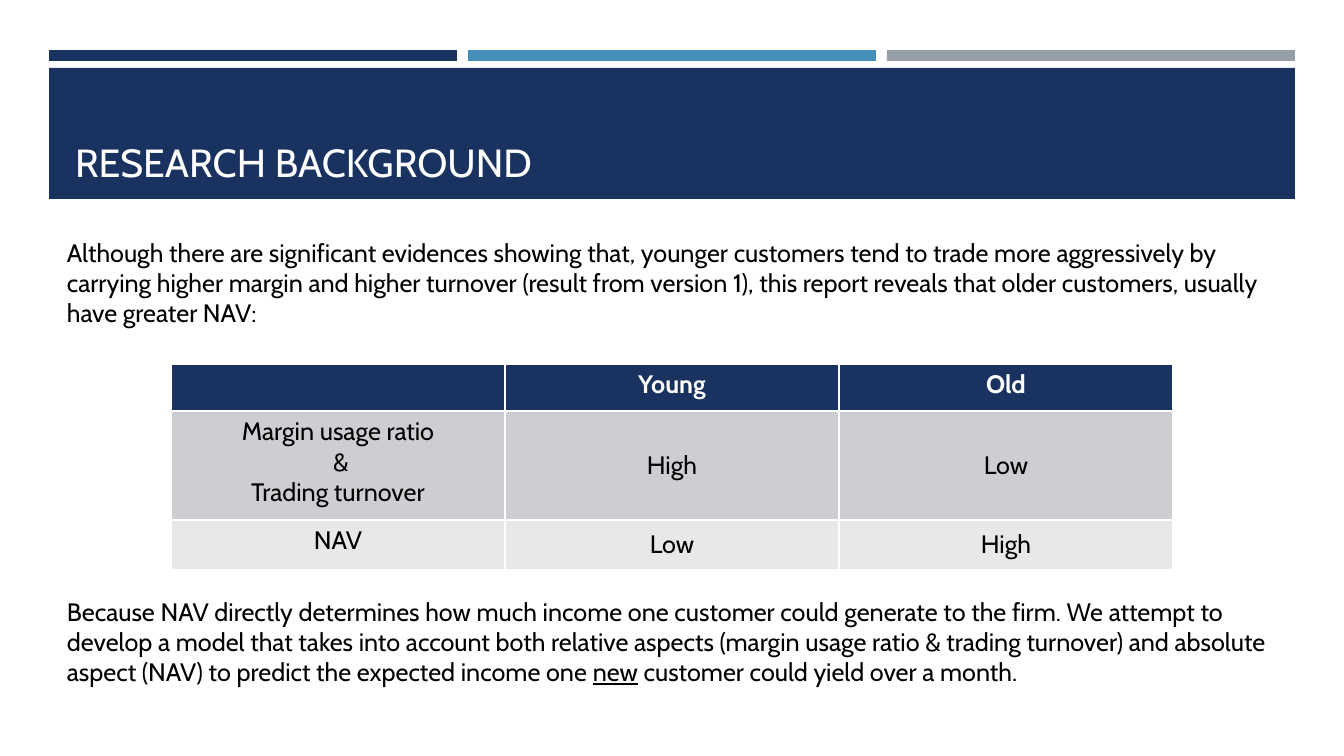
"""Build the research background slide."""
from pptx import Presentation
from pptx import util as u
from pptx.dml.color import RGBColor
from pptx.enum import shapes, text

NAVY = RGBColor(0x1A, 0x32, 0x60)
BLUE = RGBColor(0x45, 0x90, 0xB8)
GREY = RGBColor(0x96, 0x9F, 0xA7)
DARK = RGBColor(0xCD, 0xCE, 0xD2)
PALE = RGBColor(0xE8, 0xE8, 0xEA)
WHITE = RGBColor(0xFF, 0xFF, 0xFF)
CREAM = RGBColor(0xFF, 0xFE, 0xFF)
BLACK = RGBColor(0, 0, 0)
FONT = "Cabin"

TITLE = "RESEARCH BACKGROUND"
BARS = [NAVY, BLUE, GREY]
NOTES = [
    (232, 102, [
        "Although there are significant evidences showing that, younger customers "
        "tend to trade more aggressively by carrying higher margin and higher "
        "turnover (result from version 1), this report reveals that older "
        "customers, usually have greater NAV:"]),
    (591, 132, [
        "Because NAV directly determines how much income one customer could "
        "generate to the firm. We attempt to develop a model that takes into account "
        "both relative aspects (margin usage ratio & trading turnover) and "
        "absolute aspect (NAV) to predict the expected income one ",
        "new",
        " customer could yield over a month."]),
]
MARKED = "new"
ROWS = [
    (47, NAVY, ["", "Young", "Old"]),
    (109, DARK, ["Margin usage ratio\n &\nTrading turnover", "High", "Low"]),
    (50, PALE, ["NAV", "Low", "High"]),
]


def px(n):
    return u.Emu(round(n * 914400 / 100.8))


def box(*at):
    return [px(n) for n in at]


def style(para, color, size=18, bold=False):
    font = para.font
    font.name, font.size, font.bold = FONT, u.Pt(size), bold
    font.color.rgb = color


def add_bar(slide, color, *at):
    bar = slide.shapes.add_shape(shapes.MSO_SHAPE.RECTANGLE, *box(*at))
    bar.shadow.inherit = False
    bar.fill.solid()
    bar.fill.fore_color.rgb = color
    bar.line.fill.background()


def add_title(slide):
    title = slide.shapes.title
    slide.shapes._spTree.append(title._element)
    title.left, title.top, title.width, title.height = box(65, 78, 1216, 112)
    frame = title.text_frame
    frame.text = TITLE
    frame.auto_size = text.MSO_AUTO_SIZE.NONE
    frame.vertical_anchor = text.MSO_ANCHOR.BOTTOM
    para = frame.paragraphs[0]
    para.alignment = text.PP_ALIGN.LEFT
    style(para, CREAM, 28)


def add_note(slide, top, high, runs):
    frame = slide.shapes.add_textbox(*box(57, top, 1230, high)).text_frame
    frame.word_wrap = True
    para = frame.paragraphs[0]
    style(para, BLACK)
    for words in runs:
        run = para.add_run()
        run.text = words
        if words == MARKED:
            run.font.underline = True


def add_grid(slide):
    high = sum(row[0] for row in ROWS)
    grid = slide.shapes.add_table(3, 3, *box(171, 364, 1002, high)).table
    for r, (tall, fill, words) in enumerate(ROWS):
        grid.rows[r].height = px(tall)
        for c, word in enumerate(words):
            cell = grid.cell(r, c)
            cell.text = word
            cell.fill.solid()
            cell.fill.fore_color.rgb = fill
            if r and c:
                cell.vertical_anchor = text.MSO_ANCHOR.MIDDLE
            for para in cell.text_frame.paragraphs:
                para.alignment = text.PP_ALIGN.CENTER
                style(para, BLACK if r else WHITE, bold=not r)


def main():
    deck = Presentation()
    deck.slide_width, deck.slide_height = box(1344, 756)
    slide = deck.slides.add_slide(deck.slide_layouts[5])
    for i, color in enumerate(BARS):
        add_bar(slide, color, 49 + 419 * i, 50, 408, 11)
    add_bar(slide, NAVY, 49, 68, 1246, 131)
    add_title(slide)
    for note in NOTES:
        add_note(slide, *note)
    add_grid(slide)
    deck.save("out.pptx")


if __name__ == "__main__":
    main()
